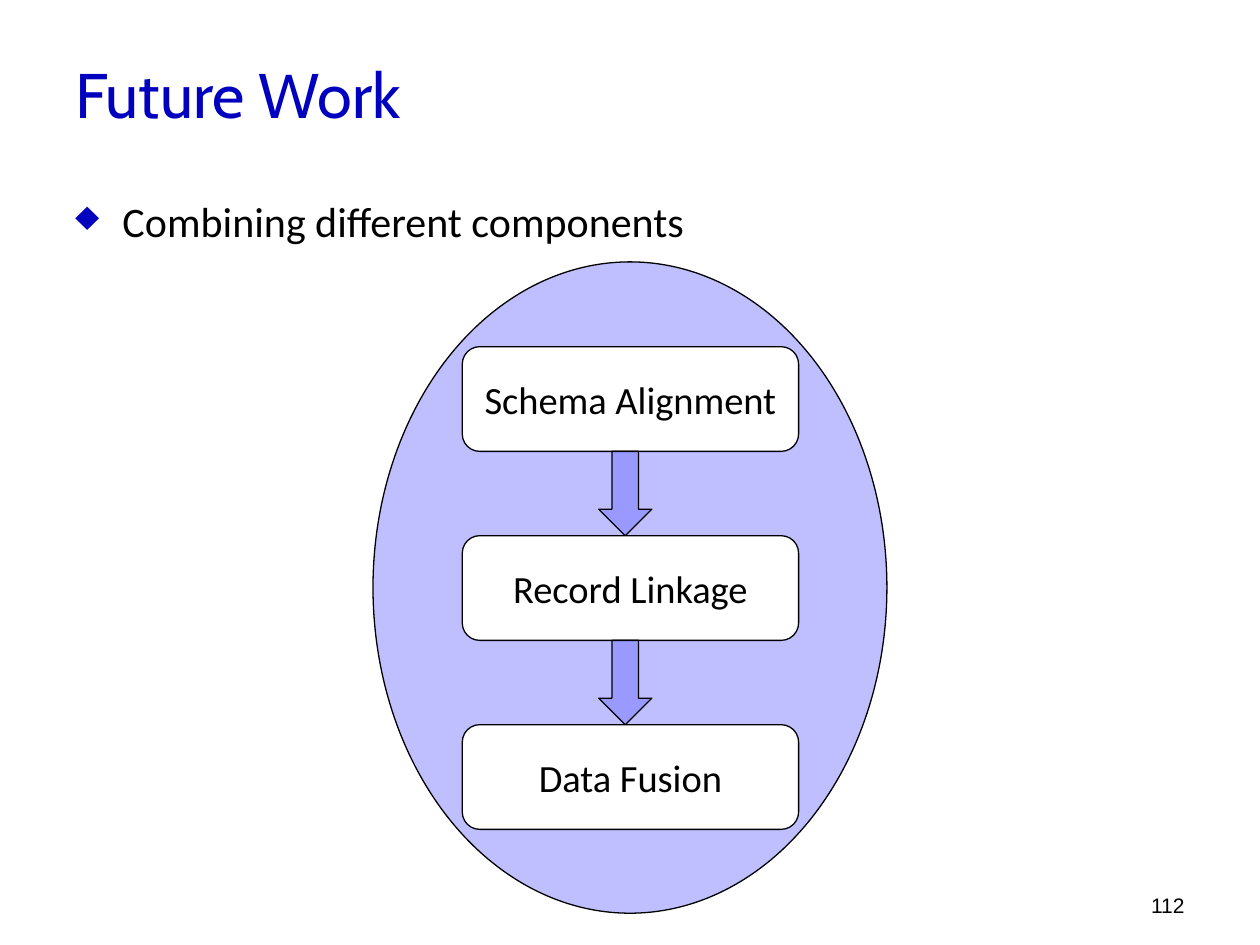
"""Build the Future Work slide with its three-step integration pipeline."""
from lxml import etree
from pptx import Presentation
from pptx import util as u
from pptx.dml import color
from pptx.enum import shapes, text
from pptx.oxml import ns

COLORS = {"heading": "0000BE", "ink": "000000", "oval": "BFBFFF",
          "box": "FFFFFF", "arrow": "9999FF"}
STEPS = ["Schema Alignment", "Record Linkage", "Data Fusion"]
BOX_LEFT, BOX_TOP, BOX_WIDTH, BOX_HEIGHT = 9.32, 6.99, 6.78, 2.11
STEP_PITCH = 3.81
ARROW_LEFT, ARROW_WIDTH = 12.07, 1.07


def rgb(name):
    """Return the named colour."""
    return color.RGBColor.from_string(COLORS[name])


def apply_format(target, values):
    """Set each attribute of the target from a dict."""
    for name, value in values.items():
        setattr(target, name, value)


def write_text(shape, wording, font, size, ink="ink", align=text.PP_ALIGN.LEFT,
               anchor=text.MSO_ANCHOR.TOP, wrap=True):
    """Write one formatted paragraph in a shape and return it."""
    apply_format(shape.text_frame, {"word_wrap": wrap, "vertical_anchor": anchor})
    paragraph = shape.text_frame.paragraphs[0]
    paragraph.alignment = align
    run = paragraph.add_run()
    run.text = wording
    apply_format(run.font, {"name": font, "size": u.Pt(size)})
    run.font.color.rgb = rgb(ink)
    return paragraph


def add_text(slide, bounds, wording, font, size, **options):
    """Add a text box and return its paragraph."""
    shape = slide.shapes.add_textbox(*map(u.Cm, bounds))
    return write_text(shape, wording, font, size, **options)


def add_bullet(paragraph, symbol, ink, indent):
    """Give a paragraph a coloured bullet with a hanging indent."""
    properties = paragraph._p.get_or_add_pPr()
    properties.set("marL", str(u.Cm(indent)))
    properties.set("indent", str(-u.Cm(indent)))
    bullet_color = etree.SubElement(properties, ns.qn("a:buClr"))
    etree.SubElement(bullet_color, ns.qn("a:srgbClr"), val=COLORS[ink])
    etree.SubElement(properties, ns.qn("a:buChar"), char=symbol)


def add_outlined(slide, kind, bounds, fill):
    """Add a filled preset shape with a thin dark outline."""
    shape = slide.shapes.add_shape(kind, *map(u.Cm, bounds))
    shape.shadow.inherit = False
    shape.fill.solid()
    shape.fill.fore_color.rgb = rgb(fill)
    shape.line.color.rgb = rgb("ink")
    shape.line.width = u.Pt(0.75)
    return shape


def add_pipeline(slide):
    """Draw the oval, the step boxes and the arrows between them."""
    kinds = shapes.MSO_SHAPE
    add_outlined(slide, kinds.OVAL, (7.52, 5.28, 10.36, 13.13), "oval")
    for index, step in enumerate(STEPS):
        top = BOX_TOP + index * STEP_PITCH
        box = add_outlined(slide, kinds.ROUNDED_RECTANGLE,
                           (BOX_LEFT, top, BOX_WIDTH, BOX_HEIGHT), "box")
        write_text(box, step, "Calibri", 22, align=text.PP_ALIGN.CENTER,
                   anchor=text.MSO_ANCHOR.MIDDLE, wrap=False)
        if index < len(STEPS) - 1:
            add_outlined(slide, kinds.DOWN_ARROW,
                         (ARROW_LEFT, top + BOX_HEIGHT, ARROW_WIDTH,
                          STEP_PITCH - BOX_HEIGHT), "arrow")


def main():
    """Build and save the slide."""
    presentation = Presentation()
    apply_format(presentation, {"slide_width": u.Cm(25.4), "slide_height": u.Cm(19.05)})
    slide = presentation.slides.add_slide(presentation.slide_layouts[6])
    add_text(slide, (1.27, 0.79, 24.13, 2.18), "Future Work", "Cabin", 36,
             ink="heading", anchor=text.MSO_ANCHOR.MIDDLE)
    point = add_text(slide, (1.27, 3.81, 24.13, 12.5),
                     "Combining different components", "Calibri", 24)
    add_bullet(point, "♦", "heading", 0.95)
    add_text(slide, (18.21, 17.35, 5.92, 1.27), "112", "Arial", 12,
             align=text.PP_ALIGN.RIGHT, anchor=text.MSO_ANCHOR.BOTTOM)
    add_pipeline(slide)
    presentation.save("out.pptx")


if __name__ == "__main__":
    main()
